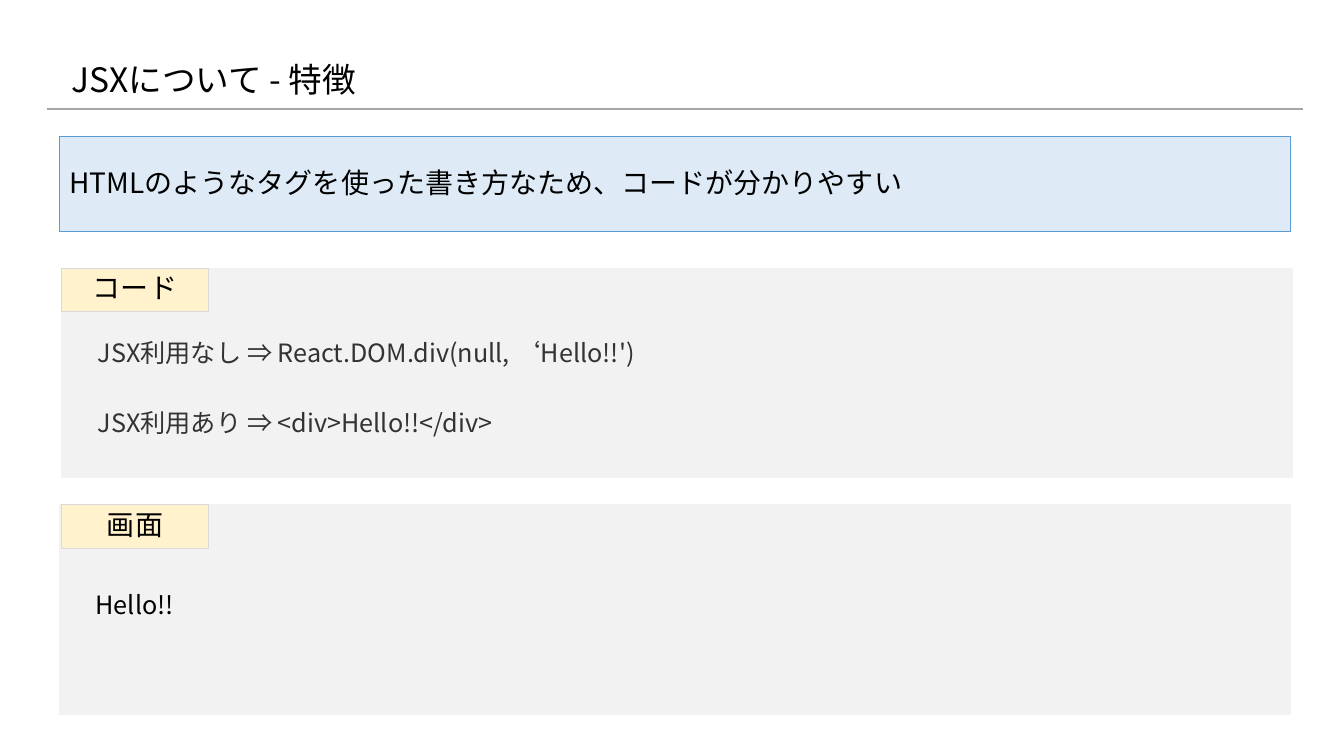
from lxml.etree import SubElement
from pptx import Presentation
from pptx.dml.color import RGBColor
from pptx.enum.shapes import MSO_CONNECTOR as Connector, MSO_SHAPE as Shape
from pptx.enum.text import MSO_ANCHOR as Anchor, PP_ALIGN as Align
from pptx.oxml.ns import qn
from pptx.util import Pt

PX = 9144
FONT = "Noto Sans CJK JP"
COLORS = {
    "text": "000000", "code": "333333", "rule": "A5A5A5",
    "summary": "DEEBF7", "summary_edge": "5B9BD5",
    "panel": "F2F2F2", "tag": "FFF2CC", "tag_edge": "D9D9D9",
}


def color(name):
    """Return the named palette colour."""
    return RGBColor.from_string(COLORS[name])


def emu(*lengths):
    """Turn px lengths into EMU."""
    return [length * PX for length in lengths]


def write(holder, words, size, ink="text", align=Align.LEFT,
          anchor=Anchor.TOP, leading=None, before=None):
    """Write one styled run into a shape or text box."""
    frame = holder.text_frame
    frame.word_wrap = True
    frame.vertical_anchor = anchor
    paragraph = frame.paragraphs[0]
    paragraph.alignment = align
    paragraph.line_spacing = leading
    paragraph.space_before = before
    run = paragraph.add_run()
    run.text = words
    run.font.size = Pt(size)
    run.font.name = FONT
    run.font.color.rgb = color(ink)
    SubElement(run.font._element, qn("a:ea"), typeface=FONT)


def add_block(slide, box, fill, edge):
    """Draw a flat rectangle with a thin edge."""
    block = slide.shapes.add_shape(Shape.RECTANGLE, *emu(*box))
    block.shadow.inherit = False
    block.fill.solid()
    block.fill.fore_color.rgb = color(fill)
    block.line.color.rgb = color(edge)
    block.line.width = Pt(0.75)
    return block


def add_heading(slide, box, words):
    """Place the slide title and the rule below it."""
    left, top, width, height = box
    rule_y = top + 77
    rule = slide.shapes.add_connector(
        Connector.STRAIGHT, *emu(left - 14, rule_y, left + 1231, rule_y))
    rule.line.color.rgb = color("rule")
    rule.line.width = Pt(1.5)
    SubElement(rule._element.spPr, qn("a:effectLst"))
    title = slide.shapes.add_textbox(*emu(*box))
    write(title, words, 24, anchor=Anchor.MIDDLE, leading=0.9)


def add_summary(slide, box, words):
    """Place the highlighted summary sentence."""
    summary = add_block(slide, box, "summary", "summary_edge")
    write(summary, words, 20, anchor=Anchor.MIDDLE, leading=0.9, before=Pt(10))


def add_panel(slide, box, label, lines, tag_inset, first_line, ink):
    """Place a grey panel with its label tag and evenly spaced lines."""
    left, top, width, height = box
    add_block(slide, box, "panel", "panel")
    tag = add_block(slide, (left + tag_inset, top, 146, 43), "tag", "tag_edge")
    write(tag, label, 20, align=Align.CENTER, anchor=Anchor.MIDDLE,
          leading=0.9, before=Pt(10))
    for row, words in enumerate(lines):
        line = slide.shapes.add_textbox(
            *emu(left + 26, top + first_line + row * 69, 686, 40))
        write(line, words, 18, ink)


def main():
    """Build and save the slide."""
    deck = Presentation()
    deck.slide_width, deck.slide_height = emu(1333, 750)
    slide = deck.slides.add_slide(deck.slide_layouts[6])
    add_heading(slide, (61, 31, 1070, 100), "JSXについて - 特徴")
    add_summary(slide, (59, 135, 1221, 95),
                "HTMLのようなタグを使った書き方なため、コードが分かりやすい")
    add_panel(slide, (61, 266, 1221, 208), "コード",
              ["JSX利用なし ⇒ React.DOM.div(null, ‘Hello!!')",
               "JSX利用あり ⇒ <div>Hello!!</div>"],
              tag_inset=0, first_line=64, ink="code")
    add_panel(slide, (59, 501, 1221, 208), "画面", ["Hello!!"],
              tag_inset=2, first_line=79, ink="text")
    deck.save("out.pptx")


if __name__ == "__main__":
    main()
